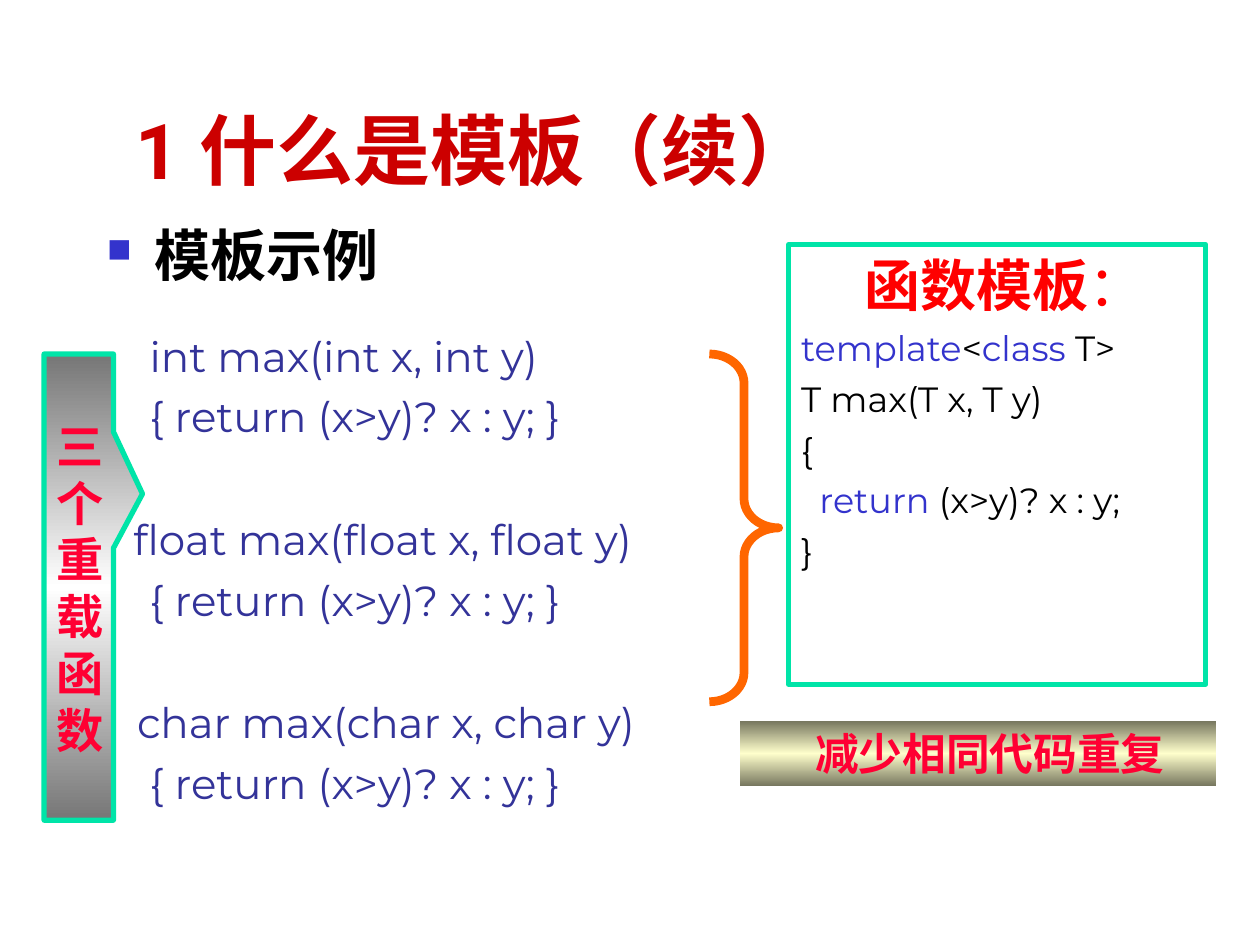
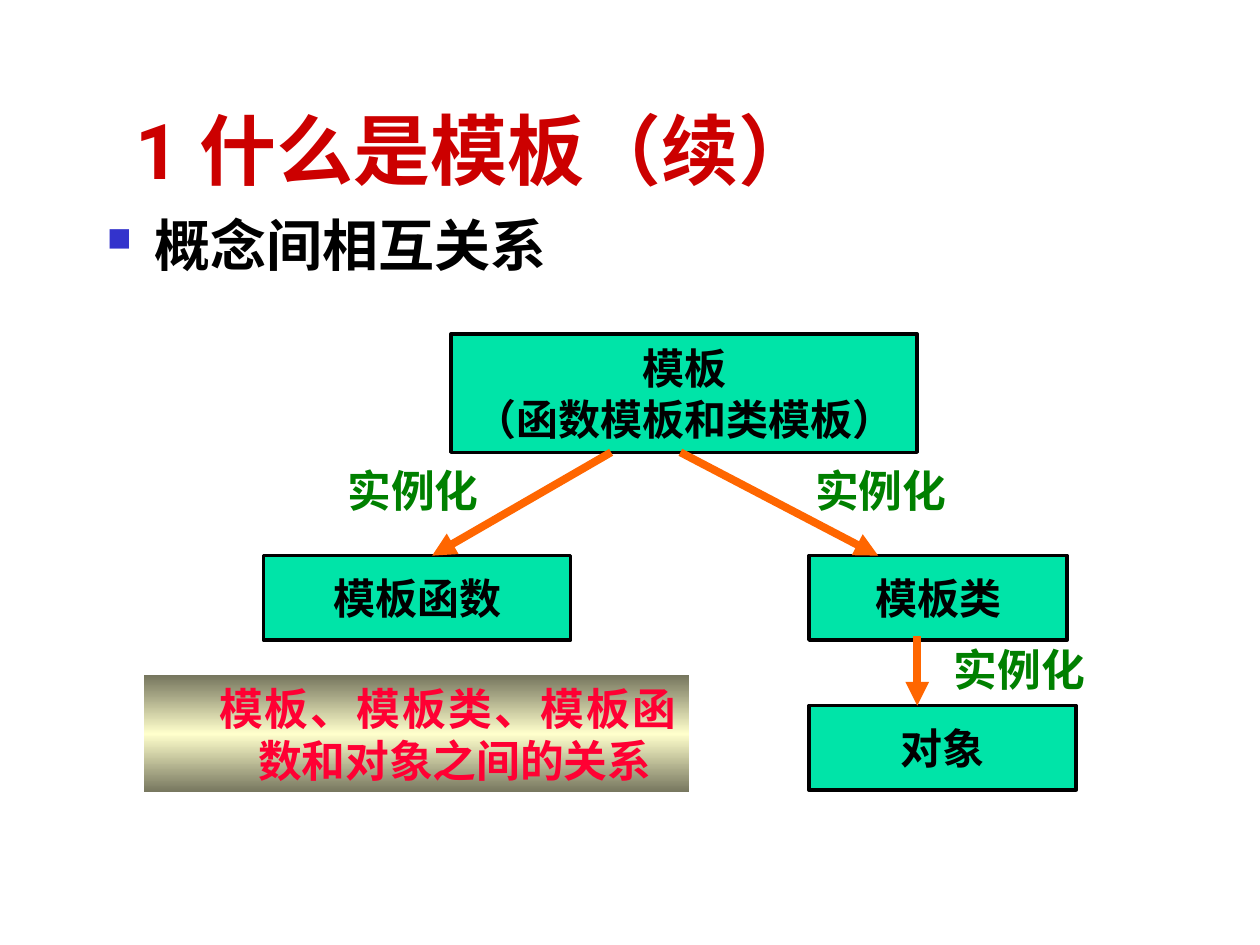
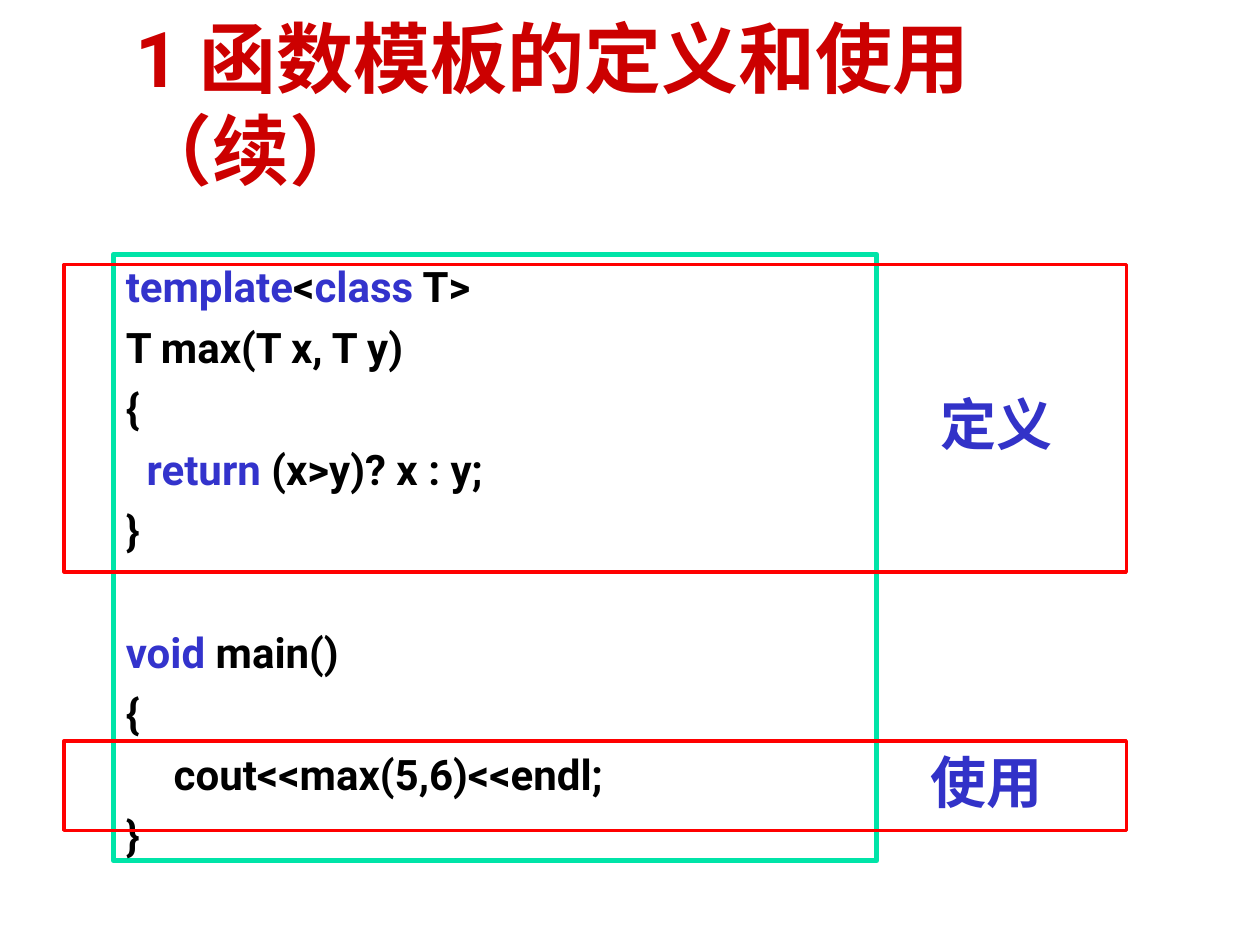
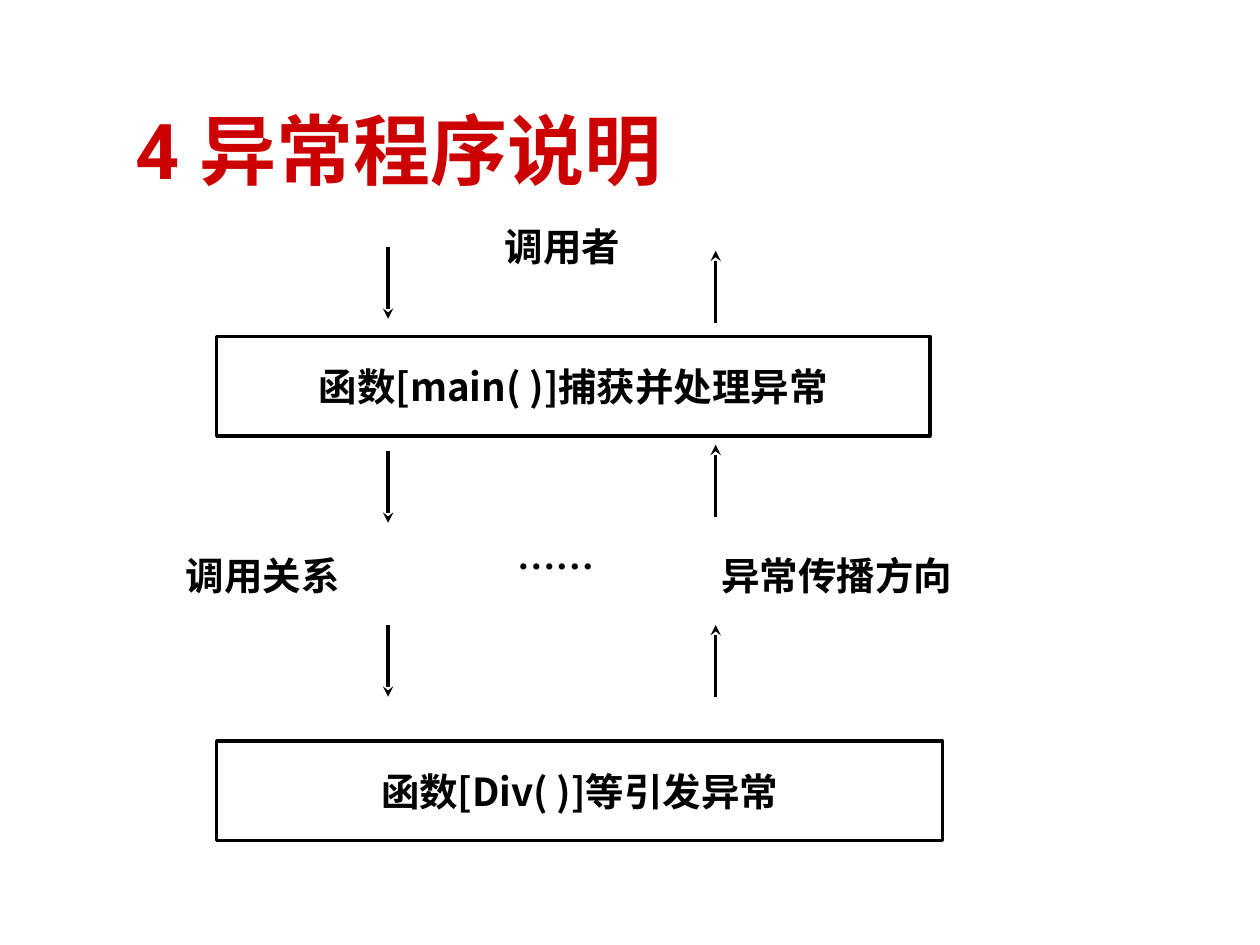
from collections import namedtuple
from copy import deepcopy
from dataclasses import dataclass

from lxml.etree import SubElement
from pptx import Presentation
from pptx.dml.color import RGBColor
from pptx.enum.shapes import MSO_CONNECTOR as Link, MSO_SHAPE as Preset
from pptx.enum.text import MSO_ANCHOR as Anchor, PP_ALIGN as Align
from pptx.oxml.ns import qn
from pptx.util import Inches, Pt

COLORS = {
    "title": "CC0000",
    "ink": "000000",
    "keyword": "3333CC",
    "code": "333399",
    "mint": "00E4A8",
    "orange": "FF6600",
    "red": "FF0000",
    "crimson": "FF0033",
    "green": "008000",
    "stage": "3232C8",
    "gray": "767676",
    "white": "FFFFFF",
    "olive": "76765E",
    "cream": "FFFFCC",
}
HAN = "Noto Sans CJK SC"


def style(name, size, color="ink", bold=True, **marked):
    base = {"name": name, "size": Pt(size), "bold": bold, "color": color}
    return base, base | marked


STYLES = {
    "title": style("Roboto", 44, "title"),
    "topic": style("Roboto", 32),
    "overload": style("Montserrat", 24, "code", False),
    "heading": style("Times New Roman", 32, "red", bold=True) [:1]
    + style("Times New Roman", 32, "red", bold=False)[:1],
    "template": style("Montserrat", 20, bold=False, color="ink")[:1]
    + style("Montserrat", 20, "keyword", False)[:1],
    "program": style("Roboto", 24)[:1] + style("Roboto", 24, "keyword")[:1],
    "side": style(HAN, 27, "crimson"),
    "banner": style(HAN, 25, "crimson"),
    "relation": style(HAN, 25, "green"),
    "node": style("Times New Roman", 24),
    "stage": style("Roboto", 32, "stage"),
    "flow": style(HAN, 22),
    "dots": style("Times New Roman", 22),
}
FRAME = {
    "word_wrap": True,
    "vertical_anchor": Anchor.TOP,
    "margin_left": Inches(0.1),
    "margin_right": Inches(0.1),
    "margin_top": Inches(0.05),
    "margin_bottom": Inches(0.05),
}
MIDDLE = {"vertical_anchor": Anchor.MIDDLE}
NODE_FRAME = MIDDLE | {"word_wrap": False}
FLOW_FRAME = MIDDLE | {"margin_top": 0, "margin_bottom": 0}

Box = namedtuple("Box", "left top width height")


@dataclass
class Line:
    text: str
    look: str
    left: float = 0
    first: float = 0
    before: float = 0
    align: Align = Align.LEFT
    bullet: bool = False


def rgb(color):
    return RGBColor.from_string(COLORS[color])


def assign(target, values):
    for key, value in values.items():
        setattr(target, key, value)


def inside(box, dx, dy, width, height):
    return Box(box.left + dx, box.top + dy, width, height)


def add_bullet(properties):
    tint = SubElement(properties, qn("a:buClr"))
    SubElement(tint, qn("a:srgbClr")).set("val", COLORS["keyword"])
    SubElement(properties, qn("a:buSzPct")).set("val", "60000")
    SubElement(properties, qn("a:buChar")).set("char", "■")


def write(holder, lines, frame=None):
    body = holder.text_frame
    assign(body, FRAME | (frame or {}))
    for number, line in enumerate(lines):
        paragraph = body.add_paragraph() if number else body.paragraphs[0]
        properties = paragraph._p.get_or_add_pPr()
        properties.set("marL", str(Inches(line.left)))
        properties.set("indent", str(Inches(line.first)))
        if line.bullet:
            add_bullet(properties)
        assign(paragraph, {"alignment": line.align, "space_before": Pt(line.before)})
        for turn, words in enumerate(line.text.split("*")):
            if not words:
                continue
            run = paragraph.add_run()
            run.text = words
            look = dict(STYLES[line.look][turn % 2])
            run.font.color.rgb = rgb(look.pop("color"))
            assign(run.font, look)
            SubElement(run._r.rPr, qn("a:ea")).set("typeface", HAN)


def text(slide, box, lines, frame=None):
    write(slide.shapes.add_textbox(*map(Inches, box)), lines, frame)


def panel(slide, box, preset=Preset.RECTANGLE, fill=None, line=None, weight=2):
    part = slide.shapes.add_shape(preset, *map(Inches, box))
    part.shadow.inherit = False
    if fill is None:
        part.fill.background()
    elif isinstance(fill, str):
        part.fill.solid()
        part.fill.fore_color.rgb = rgb(fill)
    else:
        shade(part, *fill)
    if line:
        part.line.color.rgb = rgb(line)
        part.line.width = Pt(weight)
    else:
        part.line.fill.background()
    return part


def shade(part, edge, center):
    part.fill.gradient()
    part.fill.gradient_angle = 90
    stops = part._element.spPr.find(".//" + qn("a:gsLst"))
    stops.insert(1, deepcopy(stops[0]))
    for stop, place, color in zip(part.fill.gradient_stops, (0, 0.5, 1), (edge, center, edge)):
        stop.position = place
        stop.color.rgb = rgb(color)


def arrow(slide, box, start, end, color, weight, tip, side="tailEnd"):
    x1, y1, x2, y2 = (
        Inches(origin + offset)
        for origin, offset in zip((box.left, box.top) * 2, (*start, *end))
    )
    link = slide.shapes.add_connector(Link.STRAIGHT, x1, y1, x2, y2)
    link.line.color.rgb = rgb(color)
    link.line.width = Pt(weight)
    SubElement(link.line._ln, qn("a:" + side)).set("type", tip)
    SubElement(link._element.spPr, qn("a:effectLst"))


def title(slide, words):
    text(slide, Box(0.98, 0.6, 8.52, 1), [Line(words, "title")], {"vertical_anchor": Anchor.BOTTOM})


def topic(slide, box, words):
    text(slide, box, [Line(words, "topic", left=0.38, first=-0.38, bullet=True)])


def banner(slide, box, words):
    band = panel(slide, box, fill=("olive", "cream"))
    write(band, [Line(words, "banner", left=0.81, first=-0.31, align=Align.JUSTIFY)])


def overloads(slide, box):
    lines = []
    for kind, left in (("int", 0.74), ("float", 0.61), ("char", 0.64)):
        signature = f"{kind} max({kind} x, {kind} y)"
        lines.append(Line(signature, "overload", left, before=41 if lines else 0))
        lines.append(Line("{ return (x>y)? x : y; }", "overload", 0.74, before=6))
    text(slide, box, lines)
    callout = panel(slide, inside(box, 0, 0.24, 0.55, 3.7), Preset.RECTANGULAR_CALLOUT,
                    ("gray", "white"), "mint", 3)
    callout.adjustments[0], callout.adjustments[1] = 0.92, -0.2
    write(callout, [Line("三个重载函数", "side")], {"margin_top": Inches(0.5)})


def template_panel(slide, box):
    brace = panel(slide, inside(box, -0.63, 0.87, 0.55, 2.76), Preset.RIGHT_BRACE,
                  line="orange", weight=5)
    brace.adjustments[0], brace.adjustments[1] = 0.42, 0.5
    code = [Line(words, "template", before=5) for words in TEMPLATE]
    frame = panel(slide, box, line="mint", weight=3)
    write(frame, [Line("函数模板*：*", "heading", left=0.5)] + code)


TEMPLATE = (
    "*template*<*class* T>",
    "T max(T x, T y)",
    "{",
    "  *return* (x>y)? x : y;",
    "}",
)


def relations(slide, box):
    nodes = (
        ((0, 1.76, 2.44, 0.67), ["模板函数"]),
        ((4.33, 1.76, 2.05, 0.67), ["模板类"]),
        ((4.33, 2.95, 2.12, 0.67), ["对象"]),
        ((1.49, 0, 3.7, 0.94), ["模板", "（函数模板和类模板）"]),
    )
    for place, names in nodes:
        node = panel(slide, inside(box, *place), fill="mint", line="ink")
        write(node, [Line(name, "node", align=Align.CENTER) for name in names], NODE_FRAME)
    for dx, dy in ((0.07, 0.98), (3.78, 0.98), (4.88, 2.4)):
        text(slide, inside(box, dx, dy, 1.81, 0.52),
             [Line("实例化", "relation", left=0.81, first=-0.31, align=Align.JUSTIFY)])
    for start, end in (
        ((2.76, 0.94), (1.34, 1.76)),
        ((3.31, 0.94), (4.88, 1.76)),
        ((5.19, 2.4), (5.19, 2.95)),
    ):
        arrow(slide, box, start, end, "orange", 4.5, "triangle")


def program(slide, box):
    lines = [Line(words, "program", before=6 if number else 0)
             for number, words in enumerate(TEMPLATE)]
    lines += [
        Line("*void* main()", "program", before=41),
        Line("{", "program", before=6),
        Line("cout<<max(5,6)<<endl;", "program", left=0.38, before=6),
        Line("}", "program", before=6),
    ]
    write(panel(slide, box, line="mint", weight=3), lines)
    stages = (
        ("定义", 0.08, 2.44, (6.46, 1.02)),
        ("使用", 3.86, 0.71, (6.38, 3.86)),
    )
    for name, dy, height, spot in stages:
        panel(slide, inside(box, -0.39, dy, 8.43, height), line="red")
        text(slide, inside(box, *spot, 1.1, 0.64), [Line(name, "stage", align=Align.CENTER)])


def exception_flow(slide, box):
    for words, dy, width in (
        ("函数[main( )]捕获并处理异常", 0.97, 5.66),
        ("函数[Div( )]等引发异常", 4.18, 5.76),
    ):
        step = panel(slide, inside(box, 0.66, dy, width, 0.79), line="ink")
        write(step, [Line(words, "flow", align=Align.CENTER)], FLOW_FRAME)
    for dx, side, tops in (
        (2.02, "tailEnd", (0.26, 1.88, 3.26)),
        (4.62, "headEnd", (0.29, 1.83, 3.26)),
    ):
        for dy in tops:
            arrow(slide, box, (dx, dy), (dx, dy + 0.57), "ink", 2, "stealth", side)
    for words, look, place in (
        ("……", "dots", (1.42, 2.4, 3.86, 0.6)),
        ("调用者", "flow", (2.38, 0, 2.05, 0.51)),
        ("异常传播方向", "flow", (4.47, 2.61, 2.22, 0.51)),
        ("调用关系", "flow", (0, 2.61, 2.05, 0.51)),
    ):
        text(slide, inside(box, *place), [Line(words, look, align=Align.CENTER)],
             FLOW_FRAME | {"margin_left": 0, "margin_right": 0})


def example_slide(slide):
    title(slide, "1 什么是模板（续）")
    topic(slide, Box(0.75, 1.7, 9.04, 0.71), "模板示例")
    overloads(slide, Box(0.35, 2.57, 6.06, 4.09))
    template_panel(slide, Box(6.26, 1.94, 3.31, 3.49))
    banner(slide, Box(5.87, 5.72, 3.78, 0.52), "减少相同代码重复")


def relation_slide(slide):
    title(slide, "1 什么是模板（续）")
    topic(slide, Box(0.75, 1.62, 9.04, 1.02), "概念间相互关系")
    relations(slide, Box(2.09, 2.65, 6.45, 3.62))
    banner(slide, Box(1.14, 5.36, 4.33, 0.93), "模板、模板类、模板函数和对象之间的关系")


def usage_slide(slide):
    title(slide, "1 函数模板的定义和使用（续）")
    program(slide, Box(0.9, 2.02, 6.06, 4.81))


def exception_slide(slide):
    title(slide, "4 异常程序说明")
    exception_flow(slide, Box(1.06, 1.7, 6.69, 4.96))


def main():
    deck = Presentation()
    assign(deck, {"slide_width": Inches(10), "slide_height": Inches(7.5)})
    for build in (example_slide, relation_slide, usage_slide, exception_slide):
        build(deck.slides.add_slide(deck.slide_layouts[6]))
    deck.save("out.pptx")


if __name__ == "__main__":
    main()
